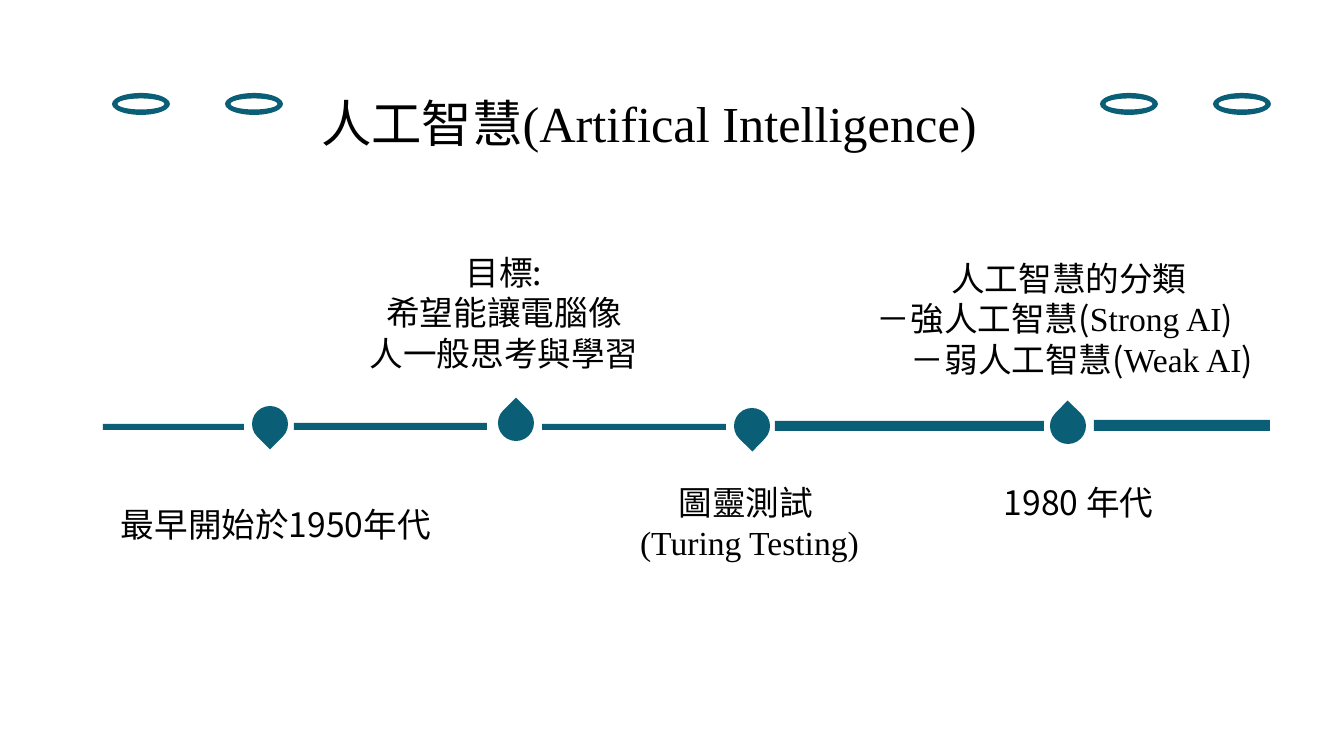
from dataclasses import dataclass
from typing import NamedTuple

from lxml.etree import SubElement
from pptx import Presentation
from pptx.dml.color import RGBColor
from pptx.enum.shapes import MSO_SHAPE as Preset
from pptx.enum.text import MSO_ANCHOR as Anchor, MSO_AUTO_SIZE as AutoSize, PP_ALIGN as Align
from pptx.oxml.ns import qn
from pptx.util import Emu, Pt

EMU_PER_PX = 914400 / 100.8


@dataclass(frozen=True)
class Theme:
    """Colours, fonts and type sizes of the deck."""
    accent: RGBColor = RGBColor(0x0A, 0x5E, 0x75)
    ink: RGBColor = RGBColor(0, 0, 0)
    chinese: str = "Noto Sans CJK SC"
    latin: str = "Times New Roman"
    title_size: int = 36
    label_size: int = 24
    leading: float = 1.2


class Box(NamedTuple):
    """A rectangle in px."""
    left: int
    top: int
    width: int
    height: int


THEME = Theme()
ZH, EN = THEME.chinese, THEME.latin

BARS = [(0, 24, 141, 6), (191, 23, 193, 7), (439, 24, 184, 6), (672, 21, 269, 10), (991, 20, 176, 11)]
DROPS = [(149, 6, 135), (395, 5, 315), (631, 8, 134), (947, 8, 314)]
DROP_SIZE = 36

LABELS = [
    (Box(8, 97, 351, 50), [(Align.LEFT, 0, [("最早開始於1950年代", ZH)])]),
    (Box(228, -155, 346, 173), [
        (Align.CENTER, 0, [(line, ZH)]) for line in ("目標:", "希望能讓電腦像", "人一般思考與學習")]),
    (Box(499, 75, 295, 92), [
        (Align.CENTER, 0, [("圖靈測試 ", ZH)]), (Align.CENTER, 0, [("(Turing Testing)", EN)])]),
    (Box(764, -149, 404, 173), [
        (Align.CENTER, 0, [("人工智慧的分類", ZH)]),
        (Align.LEFT, 0, [("－強人工智慧(", ZH), ("Strong AI", EN), (")", ZH)]),
        (Align.LEFT, 34, [("－弱人工智慧(", ZH), ("Weak AI", EN), (")", ZH)])]),
    (Box(891, 75, 189, 50), [(Align.LEFT, 0, [("1980 年代", ZH)])]),
]


def px(length):
    """Turn px into EMU."""
    return Emu(round(length * EMU_PER_PX))


def apply(target, values):
    """Set attributes from a dict of format values."""
    for name, value in values.items():
        setattr(target, name, value)


def add_solid(page, preset, box, rotation=0):
    """Add one accent-coloured shape without outline."""
    shape = page.shapes.add_shape(preset, *map(px, box))
    shape.shadow.inherit = False
    shape.fill.solid()
    shape.fill.fore_color.rgb = THEME.accent
    shape.line.fill.background()
    shape.rotation = rotation


def write(frame, paragraphs, size, top_inset):
    """Fill a text frame with aligned paragraphs of font-tagged spans."""
    apply(frame, {
        "word_wrap": True, "auto_size": AutoSize.NONE, "vertical_anchor": Anchor.TOP,
        "margin_left": px(10), "margin_right": px(10),
        "margin_top": px(top_inset), "margin_bottom": px(5)})
    for index, (align, indent, spans) in enumerate(paragraphs):
        para = frame.add_paragraph() if index else frame.paragraphs[0]
        apply(para, {"alignment": align, "line_spacing": Pt(size * THEME.leading),
                     "space_before": Pt(0)})
        if indent:
            para._p.get_or_add_pPr().set("marL", str(px(indent)))
        for text, font in spans:
            span = para.add_run()
            span.text = text
            apply(span.font, {"size": Pt(size), "name": font})
            span.font.color.rgb = THEME.ink
            SubElement(span._r.get_or_add_rPr(), qn("a:ea"), typeface=font)


def build_header(page, box):
    """Place the title between two pairs of rings."""
    title = page.shapes.title
    place = Box(box.left + 199, box.top - 9, 708, 72)
    apply(title, dict(zip(place._fields, map(px, place))))
    spans = [("人工智慧", ZH), ("(Artifical Intelligence)", EN)]
    write(title.text_frame, [(Align.JUSTIFY, 0, spans)], THEME.title_size, 8)
    ring_width, ring_height, pitch = 58, 22, 113
    for pair_left in (box.left, box.left + box.width - ring_width - pitch):
        for step in range(2):
            add_solid(page, Preset.DONUT,
                      Box(pair_left + step * pitch, box.top, ring_width, ring_height))


def build_timeline(page, box):
    """Place bars, drop markers and labels along the axis."""
    for left, top, width, height in BARS:
        add_solid(page, Preset.RECTANGLE, Box(box.left + left, box.top + top, width, height))
    for left, top, rotation in DROPS:
        add_solid(page, Preset.TEAR,
                  Box(box.left + left, box.top + top, DROP_SIZE, DROP_SIZE), rotation)
    for place, paragraphs in LABELS:
        area = place._replace(left=box.left + place.left, top=box.top + place.top)
        label = page.shapes.add_textbox(*map(px, area))
        write(label.text_frame, paragraphs, THEME.label_size, 7)


def main():
    """Build and save the deck."""
    deck = Presentation()
    apply(deck, {"slide_width": px(1344), "slide_height": px(756)})
    page = deck.slides.add_slide(deck.slide_layouts[5])
    build_header(page, Box(112, 93, 1159, 22))
    build_timeline(page, Box(103, 400, 1167, 50))
    deck.save("out.pptx")


if __name__ == "__main__":
    main()
